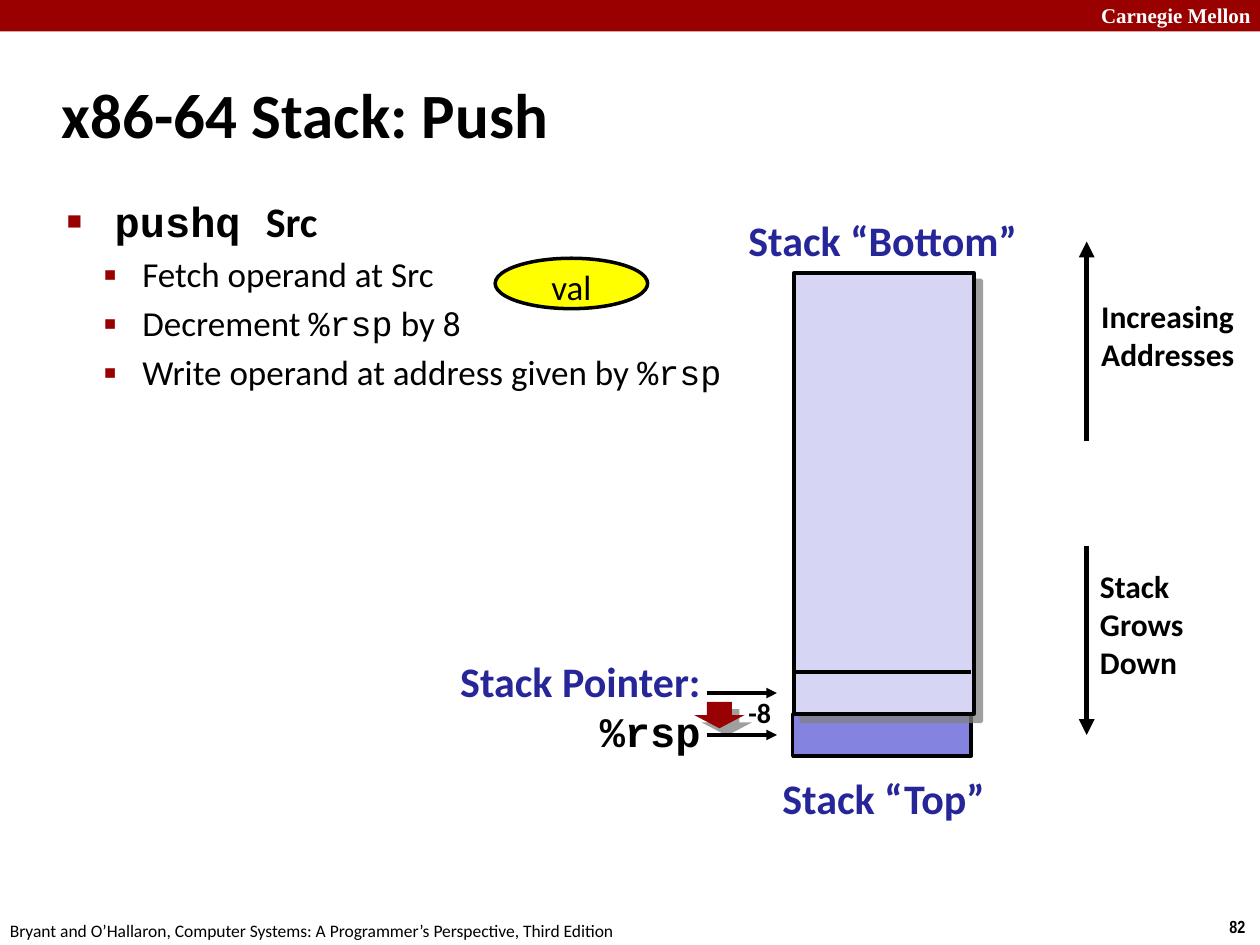
from lxml import etree
from pptx import Presentation
from pptx.dml.color import RGBColor
from pptx.enum.shapes import MSO_CONNECTOR, MSO_SHAPE
from pptx.enum.text import MSO_ANCHOR, PP_ALIGN
from pptx.oxml.ns import qn
from pptx.util import Inches, Pt

LINE = MSO_CONNECTOR.STRAIGHT
RECT, OVAL, DOWN = MSO_SHAPE.RECTANGLE, MSO_SHAPE.OVAL, MSO_SHAPE.DOWN_ARROW
LEFT, MID, RIGHT = PP_ALIGN.LEFT, PP_ALIGN.CENTER, PP_ALIGN.RIGHT
TOP, CENTRE = MSO_ANCHOR.TOP, MSO_ANCHOR.MIDDLE


class Theme:
    red, crimson = RGBColor(0x99, 0, 0), RGBColor(0x98, 0, 2)
    black, white = RGBColor(0, 0, 0), RGBColor(255, 255, 255)
    navy, yellow = RGBColor(0x26, 0x26, 0x99), RGBColor(255, 255, 0)
    pale, violet = RGBColor(0xD6, 0xD6, 0xF4), RGBColor(0x84, 0x84, 0xE0)
    sans, mono = "Calibri", "Courier New"
    serif, narrow = "Times New Roman", "Arial Narrow"
    title, head, body, note, tag, brand, foot = 36, 24, 20, 18, 16, 12, 10


deck = Presentation()
deck.slide_width, deck.slide_height = Inches(10), Inches(7.5)
CELL = deck.slide_width / 60  # the slide is 60 columns by 45 rows
slide = deck.slides.add_slide(deck.slide_layouts[1])
shapes = slide.shapes


def cells(*counts):
    """Turn counts of grid cells into lengths."""
    return [round(count * CELL) for count in counts]


def append(parent, tag, **attrs):
    """Add a DrawingML child with the given attributes."""
    return etree.SubElement(parent, qn("a:" + tag), attrs)


# Title and list
title, body = shapes.title, slide.placeholders[1]
title.left, title.top, title.width, title.height = cells(2.34, 2.88, 49.8, 5)
title.text_frame.text = "x86-64 Stack: Push"
title.text_frame.vertical_anchor = CENTRE
para = title.text_frame.paragraphs[0]
para.alignment = LEFT
props = para._p.get_or_add_pPr()
props.set("marL", str(Inches(0.13)))
props.set("indent", str(-Inches(0.13)))
para.font.name, para.font.size, para.font.bold = Theme.sans, Pt(Theme.title), True
para.font.color.rgb = Theme.black

body.left, body.top, body.width, body.height = cells(2.58, 9, 51.8, 32.6)
LEVELS = [
    # margin, hang, bullet, bullet percent, size, bold
    (0.38, 0.38, "■", 60, Theme.head, True),
    (0.6, 0.31, "▪", 110, Theme.body, False),
]
points = [
    (0, [("pushq ", Theme.mono), ("Src", Theme.sans)]),
    (1, [("Fetch operand at Src", Theme.sans)]),
    (1, [("Decrement ", Theme.sans), ("%rsp", Theme.mono), (" by 8", Theme.sans)]),
    (1, [("Write operand at address given by ", Theme.sans), ("%rsp", Theme.mono)]),
]
for index, (level, parts) in enumerate(points):
    frame = body.text_frame
    para = frame.add_paragraph() if index else frame.paragraphs[0]
    margin, hang, bullet, scale, size, bold = LEVELS[level]
    para.level = level
    para.space_before = Pt(0.2 * size if index else 0)
    props = para._p.get_or_add_pPr()
    props.set("marL", str(Inches(margin)))
    props.set("indent", str(-Inches(hang)))
    append(append(props, "buClr"), "srgbClr", val=str(Theme.red))
    append(props, "buSzPct", val=str(scale * 1000))
    append(props, "buChar", char=bullet)
    para.font.size, para.font.bold = Pt(size), bold
    para.font.color.rgb = Theme.black
    for text, font in parts:
        run = para.add_run()
        run.text, run.font.name = text, font

# Top bar, stack blocks, step arrow and operand
blocks = [
    # kind, box, fill, outlined, shadowed
    (RECT, (0, 0, 60, 1.5), Theme.red, False, False),
    (RECT, (37.75, 34, 8.5, 2), Theme.violet, True, False),
    (RECT, (37.8, 13, 8.58, 21), Theme.pale, True, True),
    (DOWN, (33.06, 33.42, 2.4, 1.26), Theme.crimson, False, True),
    (OVAL, (23.58, 12.3, 7.26, 2.4), Theme.yellow, True, False),
]
for kind, box, fill, edge, shade in blocks:
    block = shapes.add_shape(kind, *cells(*box))
    block.fill.solid()
    block.fill.fore_color.rgb = fill
    if edge:
        block.line.color.rgb, block.line.width = Theme.black, Pt(2)
    else:
        block.line.fill.background()
    block.shadow.inherit = False
    if shade:
        effects = block._element.spPr.find(qn("a:effectLst"))
        cast = append(effects, "outerShdw", blurRad="0", dist=str(Pt(6)),
                      dir="2700000", algn="ctr", rotWithShape="0")
        append(append(cast, "srgbClr", val="808080"), "alpha", val="75000")

oval = block.text_frame
oval.text, oval.vertical_anchor = "val", TOP
oval.margin_top = oval.margin_bottom = 0
para = oval.paragraphs[0]
para.alignment = MID
para.font.name, para.font.size = Theme.sans, Pt(Theme.body)
para.font.color.rgb = Theme.black

# Pointer arrows, address arrows and the line above the last cell
lines = [
    # ends, width, arrow
    ((33.65, 33, 37, 33), 2, True),
    ((33.65, 35, 37, 35), 2, True),
    ((51.75, 26, 51.75, 35), 3, True),
    ((51.75, 21, 51.75, 11.5), 3, True),
    ((37.75, 32, 46.25, 32), 2, False),
]
for ends, width, arrow in lines:
    line = shapes.add_connector(LINE, *cells(*ends))
    line.line.color.rgb, line.line.width = Theme.black, Pt(width)
    props = line._element.spPr
    if arrow:
        append(props.find(qn("a:ln")), "tailEnd", type="triangle")
    append(props, "effectLst")

# Labels; each inner list is one paragraph per entry
labels = [
    # box, lines, font, size, colour, bold, wrap, margin
    ((51.84, -0.18, 8.58, 1.8), ["Carnegie Mellon"],
     Theme.serif, Theme.brand, Theme.white, True, True, None),
    ((57.96, 43.32, 2.04, 1.62), ["82"],
     Theme.narrow, Theme.foot, Theme.black, True, False, None),
    ((-0.12, 43.5, 30.5, 1.62),
     ["Bryant and O’Hallaron, Computer Systems: A Programmer’s Perspective, Third Edition"],
     Theme.sans, Theme.foot, Theme.black, False, False, None),
    ((35.4, 32.88, 1.62, 2.1), ["-8"],
     Theme.sans, Theme.tag, Theme.black, True, False, 0.04),
    ((52.38, 27, 5.34, 6), ["Stack Grows", "Down"],
     Theme.sans, Theme.note, Theme.black, True, True, 0),
    ((52.44, 14.16, 6.78, 4.14), ["Increasing", "Addresses"],
     Theme.sans, Theme.note, Theme.black, True, False, 0),
    ((35.64, 10.2, 13.38, 2.94), ["Stack “Bottom”"],
     Theme.sans, Theme.head, Theme.navy, True, False, 0),
    ((37.26, 36.78, 10.2, 2.94), ["Stack “Top”"],
     Theme.sans, Theme.head, Theme.navy, True, False, 0),
]
for box, texts, font, size, colour, bold, wrap, margin in labels:
    frame = shapes.add_textbox(*cells(*box)).text_frame
    frame.word_wrap = wrap
    if margin is not None:
        frame.margin_left = frame.margin_right = Inches(margin)
        frame.margin_top = frame.margin_bottom = Inches(margin)
    frame.text = "\n".join(texts)
    for para in frame.paragraphs:
        para.font.name, para.font.size, para.font.bold = font, Pt(size), bold
        para.font.color.rgb = colour

# Stack pointer, in two fonts
frame = shapes.add_textbox(*cells(16.68, 31.2, 16.68, 2.4)).text_frame
frame.word_wrap = True
frame.margin_left = frame.margin_right = frame.margin_top = frame.margin_bottom = 0
para = frame.paragraphs[0]
para.alignment = RIGHT
para.font.size, para.font.bold = Pt(Theme.head), True
for text, font, colour in [("Stack Pointer:", Theme.sans, Theme.navy),
                           ("%rsp", Theme.mono, Theme.black)]:
    if para.runs:
        para.add_line_break()
    run = para.add_run()
    run.text, run.font.name, run.font.color.rgb = text, font, colour

deck.save("out.pptx")
